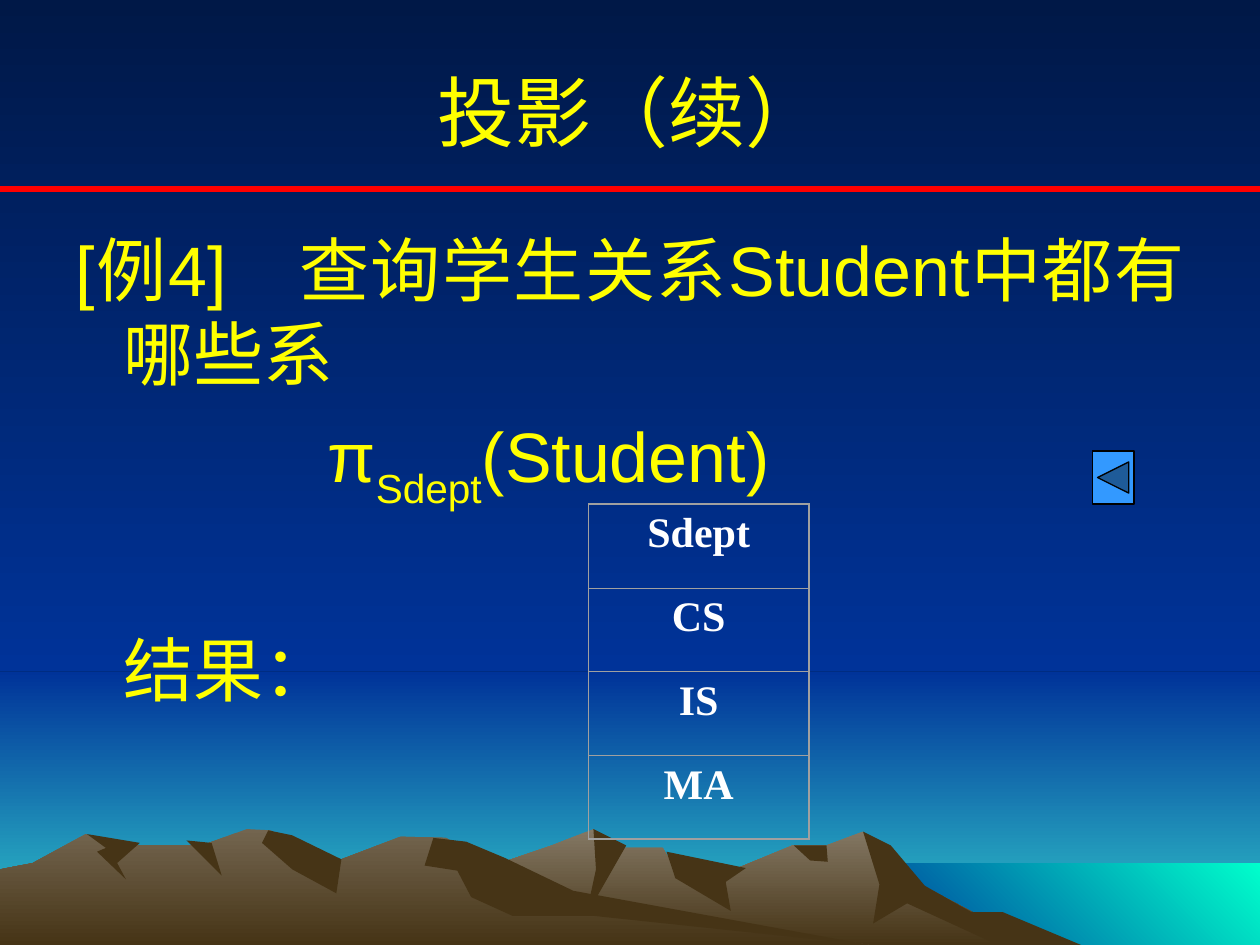
from dataclasses import dataclass

from lxml.etree import SubElement
from pptx import Presentation
from pptx.dml.color import RGBColor
from pptx.dml.fill import FillFormat
from pptx.enum.shapes import MSO_CONNECTOR, MSO_SHAPE
from pptx.enum.text import MSO_ANCHOR, MSO_AUTO_SIZE, PP_ALIGN
from pptx.oxml.ns import qn
from pptx.util import Inches, Pt


@dataclass(frozen=True)
class Theme:
    night: str = "001847"
    blue: str = "003399"
    horizon: str = "33CCCC"
    sea: str = "00FFCC"
    shade: str = "463416"
    rock: str = "73654F"
    pale_rock: str = "847864"
    red: str = "FF0000"
    yellow: str = "FFFF00"
    white: str = "FFFFFF"
    grid: str = "A0A0A0"
    button: str = "3399FF"
    black: str = "000000"
    font: str = "Arial"
    table_font: str = "Times New Roman"
    title_size: int = 44
    body_size: int = 40
    table_size: int = 24


@dataclass(frozen=True)
class Band:
    left: float
    top: float
    width: float
    height: float
    colors: tuple[str, str]
    angle: int = 270


@dataclass(frozen=True)
class Ridge:
    points: list[tuple[float, float]]
    colors: tuple[str, ...]


@dataclass(frozen=True)
class BodyLine:
    runs: list[tuple[str, bool]]  # text, subscript
    margin: float
    indent: float = 0
    space_before: int = 10
    alignment: PP_ALIGN = PP_ALIGN.LEFT


THEME = Theme()
SHADE = (THEME.shade,)

BANDS = [
    Band(0, 5.33, 10, 2.17, (THEME.blue, THEME.horizon)),
    Band(0, 0, 10, 5.33, (THEME.night, THEME.blue)),
    Band(6.83, 6.85, 3.17, 0.67, (THEME.blue, THEME.sea), 45),
]

RIDGES = [
    # Right-hand range and its shaded faces
    Ridge([(8.21, 7.5), (7.23, 6.98), (6.85, 6.6), (6.56, 6.71), (6.29, 6.71), (5.66, 6.97),
           (5.36, 6.9), (5.26, 6.73), (4.86, 6.73), (4.71, 6.58), (4.38, 6.71), (3.27, 7.09),
           (2.58, 7.5)], (THEME.pale_rock, THEME.shade)),
    Ridge([(8.58, 7.5), (7.96, 7.24), (7.71, 7.24), (7.34, 7.03), (7.07, 6.71), (6.85, 6.6),
           (6.98, 7.02), (6.93, 7.33), (7.2, 7.17), (7.92, 7.5)], SHADE),
    Ridge([(4.71, 6.58), (4.73, 6.9), (4.65, 7.27), (4.97, 6.71)], SHADE),
    Ridge([(5.29, 6.76), (5.36, 6.97), (5.8, 7.23), (5.76, 7), (5.92, 6.89)], SHADE),
    Ridge([(6.3, 6.71), (6.43, 6.83), (6.57, 6.84), (6.56, 6.71)], SHADE),
    # Left-hand range and its shaded faces
    Ridge([(6.9, 7.5), (4.32, 7.12), (3.54, 6.65), (3.18, 6.64), (2.71, 6.82), (2.36, 6.81),
           (2.15, 6.59), (1.96, 6.58), (1.6, 6.71), (0.94, 6.71), (0.68, 6.62), (0.26, 6.85),
           (0, 6.9), (0, 7.5)], (THEME.rock, THEME.shade)),
    Ridge([(2.13, 6.59), (2.08, 6.69), (2.32, 6.9), (2.67, 7.09), (2.71, 6.82), (2.32, 6.63)],
          SHADE),
    Ridge([(3.44, 6.65), (3.37, 6.87), (3.63, 6.91), (3.74, 7.12), (4.07, 7.27), (4.72, 7.27),
           (6.9, 7.5), (4.55, 7.07), (4.01, 6.81), (3.7, 6.68)], SHADE),
    Ridge([(1.48, 6.67), (1.76, 6.95), (1.68, 6.69)], SHADE),
    Ridge([(0.69, 6.62), (0.84, 6.73), (0.77, 6.76), (1, 6.98), (0.93, 6.85), (1.11, 6.69)],
          SHADE),
]

BODY_LINES = [
    BodyLine([("[例4]\u3000查询学生关系Student中都有哪些系", False)], 0.38, -0.38,
             alignment=PP_ALIGN.JUSTIFY),
    BodyLine([("π", False), ("Sdept", True), ("(Student)", False)], 2),
    BodyLine([("结果：", False)], 0.38, space_before=66),
]

RESULT_ROWS = ["Sdept", "CS", "IS", "MA"]


def paint(fill: FillFormat, colors: tuple[str, ...], angle: int = 270) -> None:
    if len(colors) == 1:
        fill.solid()
        fill.fore_color.rgb = RGBColor.from_string(colors[0])
        return
    fill.gradient()
    fill.gradient_angle = angle
    for stop, color in zip(fill.gradient_stops, colors):
        stop.color.rgb = RGBColor.from_string(color)


def style_font(font, size: int, color: str, name: str) -> None:
    font.size, font.name = Pt(size), name
    font.color.rgb = RGBColor.from_string(color)


def finish(shape, colors: tuple[str, ...], angle: int = 270) -> None:
    paint(shape.fill, colors, angle)
    shape.line.fill.background()
    shape.shadow.inherit = False


def draw_band(shapes, band: Band) -> None:
    shape = shapes.add_shape(MSO_SHAPE.RECTANGLE, Inches(band.left), Inches(band.top),
                             Inches(band.width), Inches(band.height))
    finish(shape, band.colors, band.angle)


def draw_ridge(shapes, ridge: Ridge) -> None:
    first, *rest = [(Inches(x), Inches(y)) for x, y in ridge.points]
    builder = shapes.build_freeform(*first)
    builder.add_line_segments(rest, close=True)
    finish(builder.convert_to_shape(), ridge.colors)


def place(shape, left: float, top: float, width: float, height: float) -> None:
    shape.left, shape.top = Inches(left), Inches(top)
    shape.width, shape.height = Inches(width), Inches(height)
    shape.text_frame.auto_size = MSO_AUTO_SIZE.NONE


def write_body_line(paragraph, line: BodyLine) -> None:
    paragraph.alignment = line.alignment
    paragraph.space_before = Pt(line.space_before)
    style_font(paragraph.font, THEME.body_size, THEME.yellow, THEME.font)
    properties = paragraph._p.get_or_add_pPr()
    properties.set("marL", str(Inches(line.margin)))
    properties.set("indent", str(Inches(line.indent)))
    properties.insert_element_before(properties.makeelement(qn("a:buNone")), "a:tabLst", "a:defRPr")
    for text, subscript in line.runs:
        run = paragraph.add_run()
        run.text = text
        if subscript:
            run.font._element.set("baseline", "-30000")


def set_border(cell, side: str, width: float) -> None:
    border = SubElement(cell._tc.get_or_add_tcPr(), qn(f"a:{side}"), w=str(Pt(width)))
    SubElement(SubElement(border, qn("a:solidFill")), qn("a:srgbClr"), val=THEME.grid)


def draw_result_table(shapes) -> None:
    count = len(RESULT_ROWS)
    table = shapes.add_table(count, 1, Inches(4.67), Inches(4), Inches(1.75), Inches(2.66)).table
    table.first_row = table.horz_banding = False
    outer, inner = 0.88, 0.25
    for index, text in enumerate(RESULT_ROWS):
        cell = table.cell(index, 0)
        cell.text = text
        cell.vertical_anchor = MSO_ANCHOR.TOP
        paragraph = cell.text_frame.paragraphs[0]
        paragraph.alignment = PP_ALIGN.CENTER
        paragraph.font.bold = True
        style_font(paragraph.font, THEME.table_size, THEME.white, THEME.table_font)
        set_border(cell, "lnL", outer)
        set_border(cell, "lnR", outer)
        set_border(cell, "lnT", outer if index == 0 else inner)
        set_border(cell, "lnB", outer if index == count - 1 else inner)
        cell.fill.background()


presentation = Presentation()
presentation.slide_width, presentation.slide_height = Inches(10), Inches(7.5)
slide = presentation.slides.add_slide(presentation.slide_layouts[1])
shapes = slide.shapes
title, body = shapes.title, slide.placeholders[1]

# Sky, sea and mountains
paint(slide.background.fill, (THEME.night, THEME.blue))
for band in BANDS:
    draw_band(shapes, band)
for ridge in RIDGES:
    draw_ridge(shapes, ridge)

# Rule under the title
rule = shapes.add_connector(MSO_CONNECTOR.STRAIGHT, 0, Inches(1.5), Inches(10), Inches(1.5))
rule.line.width = Pt(3.5)
rule.line.color.rgb = RGBColor.from_string(THEME.red)
SubElement(rule._element.spPr, qn("a:effectLst"))

# Title and body, in front of the scenery
for placeholder in (title, body):
    shapes.element.append(placeholder.element)
place(title, 0.5, 0.25, 9, 1.25)
title.text_frame.text = "投影（续）"
title.text_frame.vertical_anchor = MSO_ANCHOR.MIDDLE
heading = title.text_frame.paragraphs[0]
heading.alignment = PP_ALIGN.CENTER
style_font(heading.font, THEME.title_size, THEME.yellow, THEME.font)

place(body, 0.5, 1.75, 9, 4.92)
frame = body.text_frame
for index, line in enumerate(BODY_LINES):
    write_body_line(frame.add_paragraph() if index else frame.paragraphs[0], line)

# Query result
draw_result_table(shapes)

# Back button
button = shapes.add_shape(MSO_SHAPE.ACTION_BUTTON_BACK_OR_PREVIOUS, Inches(8.67), Inches(3.58),
                          Inches(0.33), Inches(0.42))
finish(button, (THEME.button,))
button.line.color.rgb = RGBColor.from_string(THEME.black)
button.line.width = Pt(0.75)

presentation.save("out.pptx")
